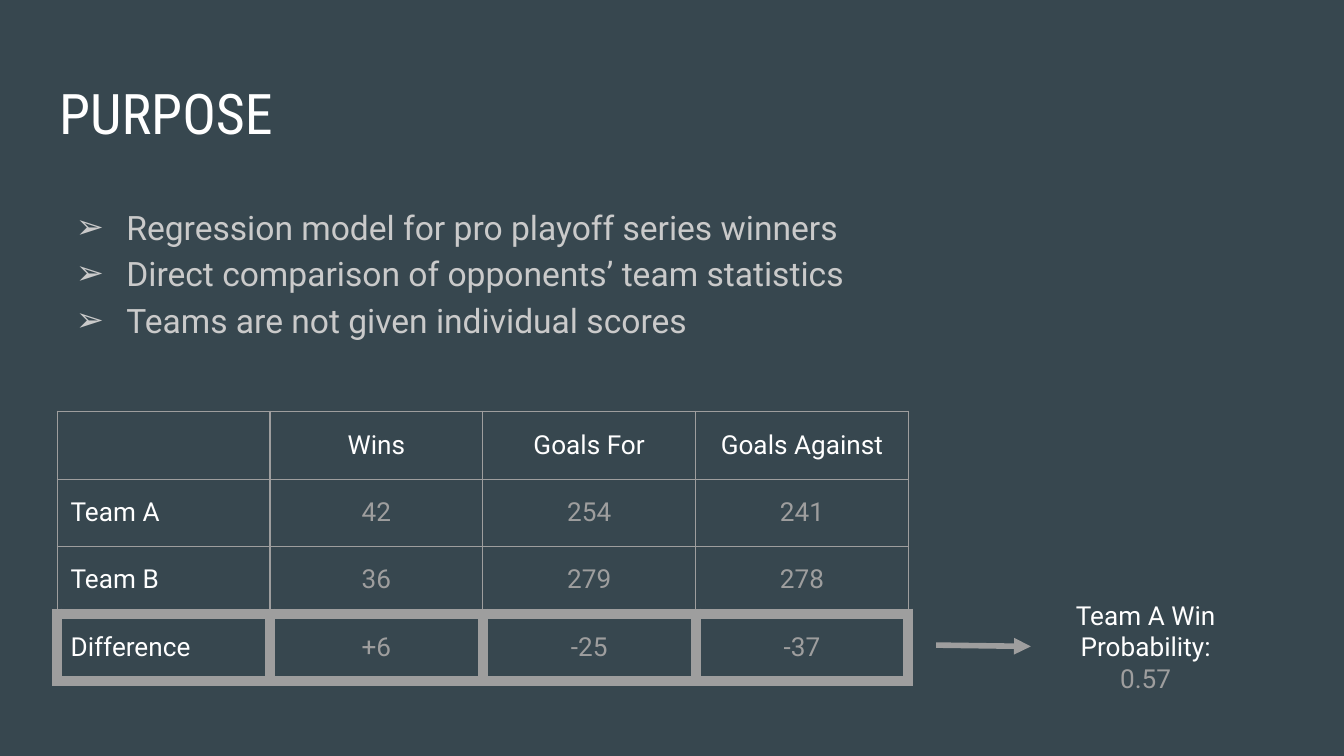
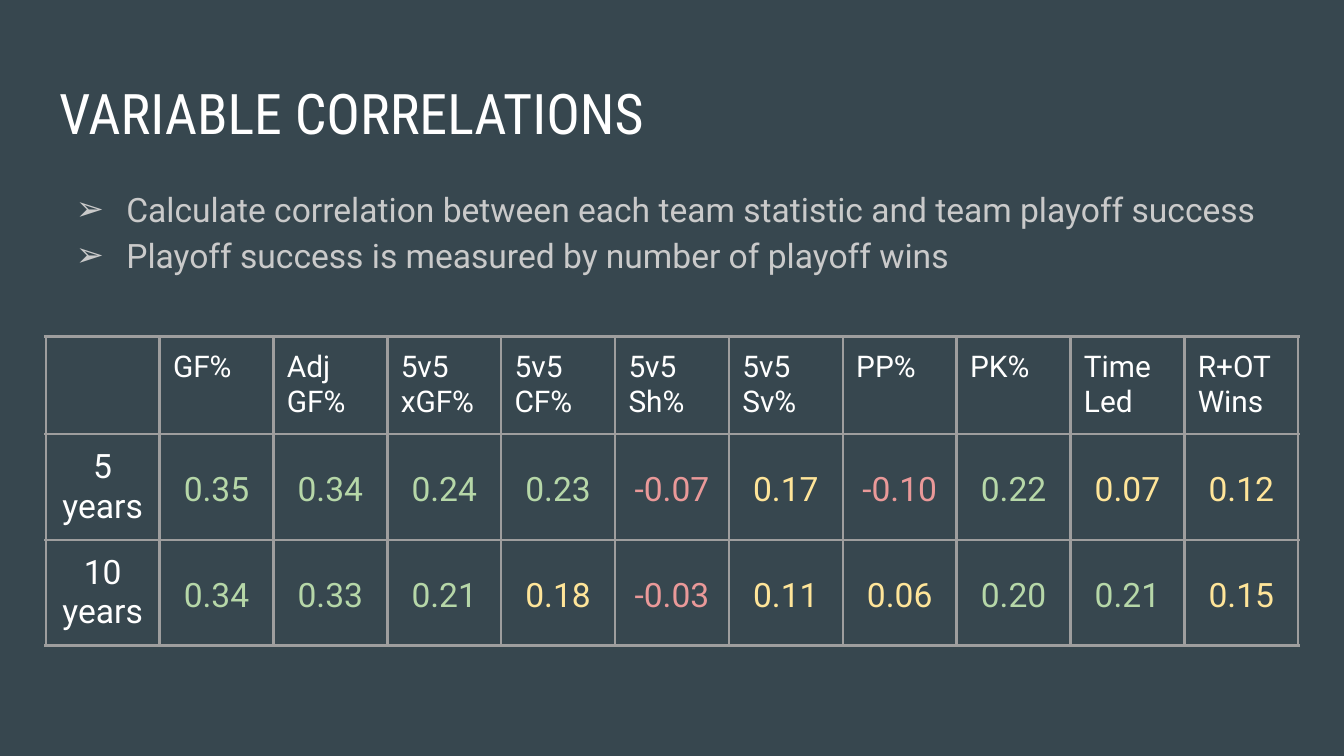
from lxml.etree import SubElement
from pptx import Presentation
from pptx.dml.color import RGBColor
from pptx.enum.shapes import MSO_CONNECTOR
from pptx.enum.text import MSO_ANCHOR, MSO_AUTO_SIZE, PP_ALIGN
from pptx.oxml.ns import qn
from pptx.util import Pt

PX = 4572  # EMU per px, 200 px to the inch
COLORS = {
    "background": "37474F", "white": "FFFFFF", "body": "CACACA", "gray": "9E9E9E",
    "green": "B6D7A8", "yellow": "FFE599", "red": "EA9999",
}
TITLE_FONT, BODY_FONT = "Roboto Condensed", "Roboto"
LEFT, WIDTH, INSET = 68, 1864, 20


def px(*lengths):
    return [n * PX for n in lengths]


def rgb(name):
    return RGBColor.from_string(COLORS[name])


class Deck:
    """Holds the shared style and the current slide."""

    def __init__(self, width, height):
        self.prs = Presentation()
        self.prs.slide_width, self.prs.slide_height = px(width, height)
        fill = self.prs.slide_master.background.fill
        fill.solid()
        fill.fore_color.rgb = rgb("background")

    def slide(self, title):
        self.s = self.prs.slides.add_slide(self.prs.slide_layouts[1])
        tf = self.place(self.s.shapes.title, LEFT, 97, WIDTH, 126)
        tf.text = title
        self.format(tf.paragraphs[0], 30, "white", font=TITLE_FONT)

    def place(self, sp, x, y, w, h):
        sp.left, sp.top, sp.width, sp.height = px(x, y, w, h)
        tf = sp.text_frame
        tf.word_wrap = True
        tf.auto_size = MSO_AUTO_SIZE.NONE
        tf.vertical_anchor = MSO_ANCHOR.TOP
        self.inset(tf)
        return tf

    def inset(self, target):
        for side in ("left", "top", "right", "bottom"):
            setattr(target, f"margin_{side}", INSET * PX)

    def format(self, p, size, color, align=PP_ALIGN.LEFT, spacing=1.0, font=BODY_FONT):
        p.alignment = align
        p.line_spacing = spacing
        p.space_before = p.space_after = Pt(0)
        for r in p.runs:
            r.font.name, r.font.size = font, Pt(size)
            r.font.color.rgb = rgb(color)

    def bullets(self, y, h, items):
        tf = self.place(self.s.placeholders[1], LEFT, y, WIDTH, h)
        tf.text = "\n".join(items)
        for p in tf.paragraphs:
            self.format(p, 18, "body", spacing=1.15)
            pPr = p._p.get_or_add_pPr()
            pPr.set("marL", str(100 * PX))
            pPr.set("indent", str(-75 * PX))
            color = SubElement(pPr, qn("a:buClr"))
            SubElement(color, qn("a:srgbClr"), val=COLORS["body"])
            SubElement(pPr, qn("a:buFont"), typeface=BODY_FONT)
            SubElement(pPr, qn("a:buChar"), char="➢")

    def text(self, x, y, w, h, lines):
        sp = self.s.shapes.add_textbox(*px(x, y, w, h))
        tf = self.place(sp, x, y, w, h)
        tf.text = "\n".join(line for line, _ in lines)
        for p, (_, color) in zip(tf.paragraphs, lines):
            self.format(p, 14, color, PP_ALIGN.CENTER)

    def arrow(self, x1, y1, x2, y2):
        line = self.s.shapes.add_connector(MSO_CONNECTOR.STRAIGHT, *px(x1, y1, x2, y2))
        line.line.color.rgb = rgb("gray")
        line.line.width = Pt(3)
        SubElement(line.line._get_or_add_ln(), qn("a:tailEnd"), type="triangle")
        SubElement(line._element.spPr, qn("a:effectLst"))

    def borders(self, cell, widths):
        tcPr = cell._tc.get_or_add_tcPr()
        for side, width in zip("LRTB", widths):
            ln = SubElement(tcPr, qn(f"a:ln{side}"), w=str(Pt(width)))
            fill = SubElement(ln, qn("a:solidFill"))
            SubElement(fill, qn("a:srgbClr"), val=COLORS["gray"])

    def table(self, x, y, w, row_h, rows, style, widths):
        """style(row, col, text) gives format arguments, widths(row) the borders."""
        n_rows, n_cols = len(rows), len(rows[0])
        frame = self.s.shapes.add_table(n_rows, n_cols, *px(x, y, w, row_h * n_rows))
        table = frame.table
        table.first_row = table.horz_banding = False
        for i, row in enumerate(rows):
            for j, text in enumerate(row):
                cell = table.cell(i, j)
                cell.text_frame.text = text
                self.inset(cell)
                look = style(i, j, text)
                cell.vertical_anchor = look.pop("anchor", MSO_ANCHOR.MIDDLE)
                for p in cell.text_frame.paragraphs:
                    self.format(p, **look)
                self.borders(cell, widths(i))
                cell.fill.background()


def team_style(row, col, text):
    return {
        "size": 14,
        "color": "gray" if row and col else "white",
        "align": PP_ALIGN.CENTER if col else PP_ALIGN.LEFT,
    }


def team_borders(row):
    # The last row stands out with a thick frame
    thin, thick = 0.75, 6
    return {2: [thin] * 3 + [thick], 3: [thick] * 4}.get(row, [thin] * 4)


def correlation_style(row, col, text):
    if row == 0:
        return {"size": 16, "color": "white", "anchor": MSO_ANCHOR.TOP}
    look = {"size": 18, "color": "white", "align": PP_ALIGN.CENTER}
    if col:
        value = float(text)
        look["color"] = "red" if value < 0 else "green" if value >= 0.2 else "yellow"
        look["spacing"] = 1.15
    return look


def main():
    deck = Deck(2000, 1125)

    # Purpose
    deck.slide("PURPOSE")
    deck.bullets(279, 256, [
        "Regression model for pro playoff series winners",
        "Direct comparison of opponents’ team statistics",
        "Teams are not given individual scores",
    ])
    deck.table(85, 612, 1267, 100, [
        ["", "Wins", "Goals For", "Goals Against"],
        ["Team A", "42", "254", "241"],
        ["Team B", "36", "279", "278"],
        ["Difference", "+6", "-25", "-37"],
    ], team_style, team_borders)
    deck.arrow(1393, 960, 1534, 962)
    deck.text(1552, 872, 306, 178, [
        ("Team A Win Probability:", "white"), ("0.57", "gray")])

    # Variable correlations
    deck.slide("VARIABLE CORRELATIONS")
    deck.bullets(252, 210, [
        "Calculate correlation between each team statistic and team playoff success",
        "Playoff success is measured by number of playoff wins",
    ])
    deck.table(LEFT, 501, WIDTH, 145, [
        ["", "GF%", "Adj\nGF%", "5v5\nxGF%", "5v5\nCF%", "5v5\nSh%", "5v5\nSv%",
         "PP%", "PK%", "Time\nLed", "R+OT\nWins"],
        ["5 years", "0.35", "0.34", "0.24", "0.23", "-0.07", "0.17",
         "-0.10", "0.22", "0.07", "0.12"],
        ["10 years", "0.34", "0.33", "0.21", "0.18", "-0.03", "0.11",
         "0.06", "0.20", "0.21", "0.15"],
    ], correlation_style, lambda row: [1.5] * 4)

    deck.prs.save("out.pptx")


if __name__ == "__main__":
    main()
